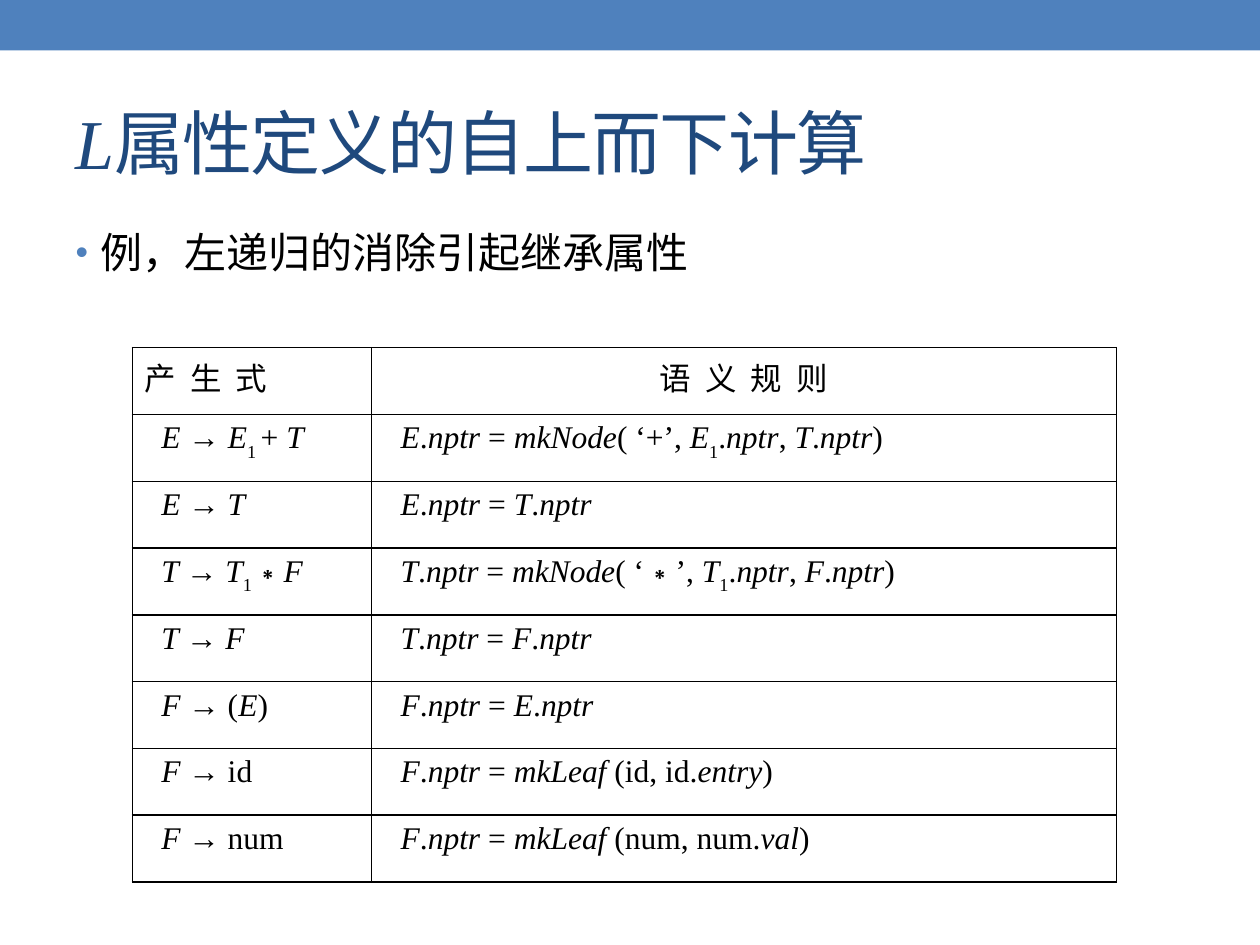
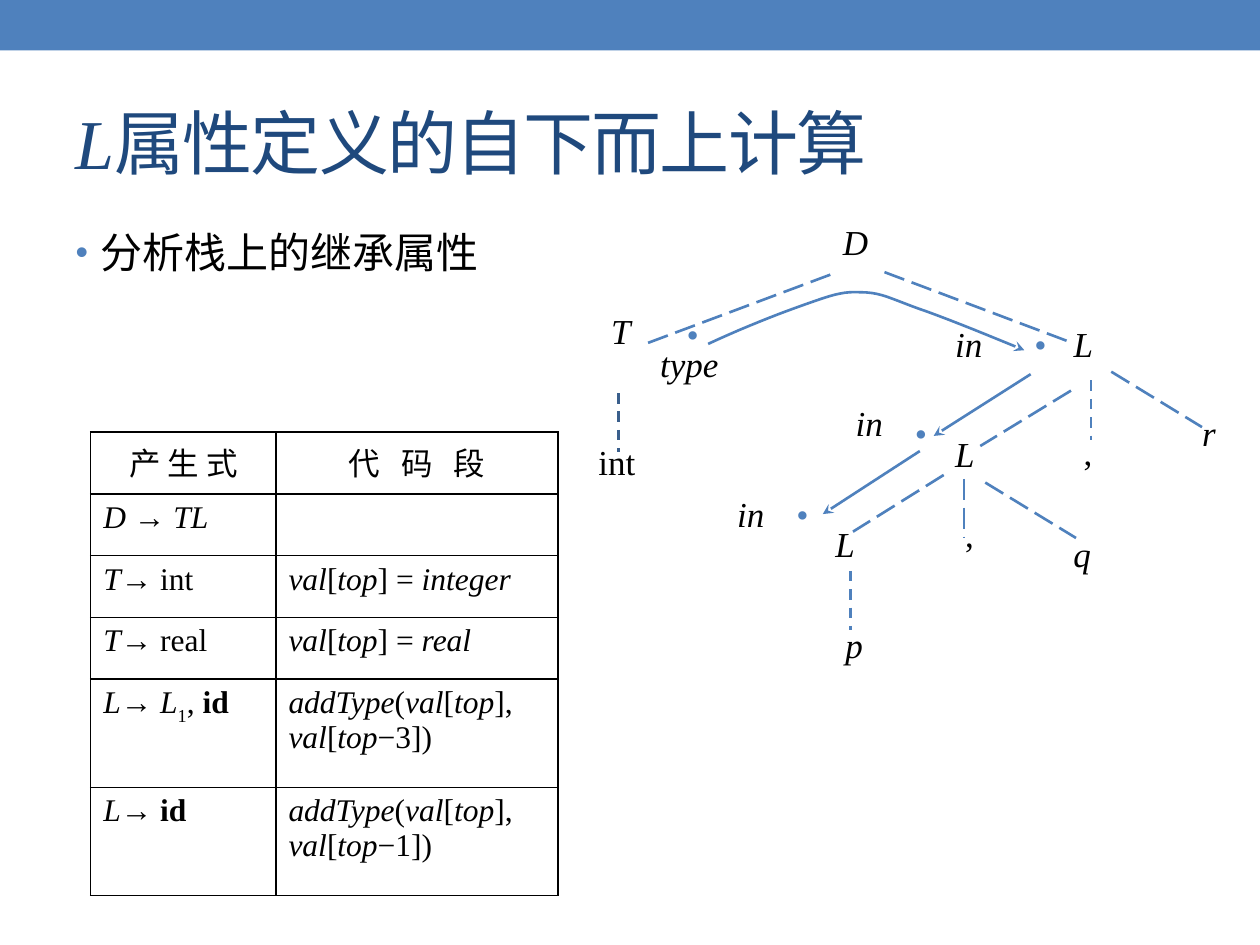
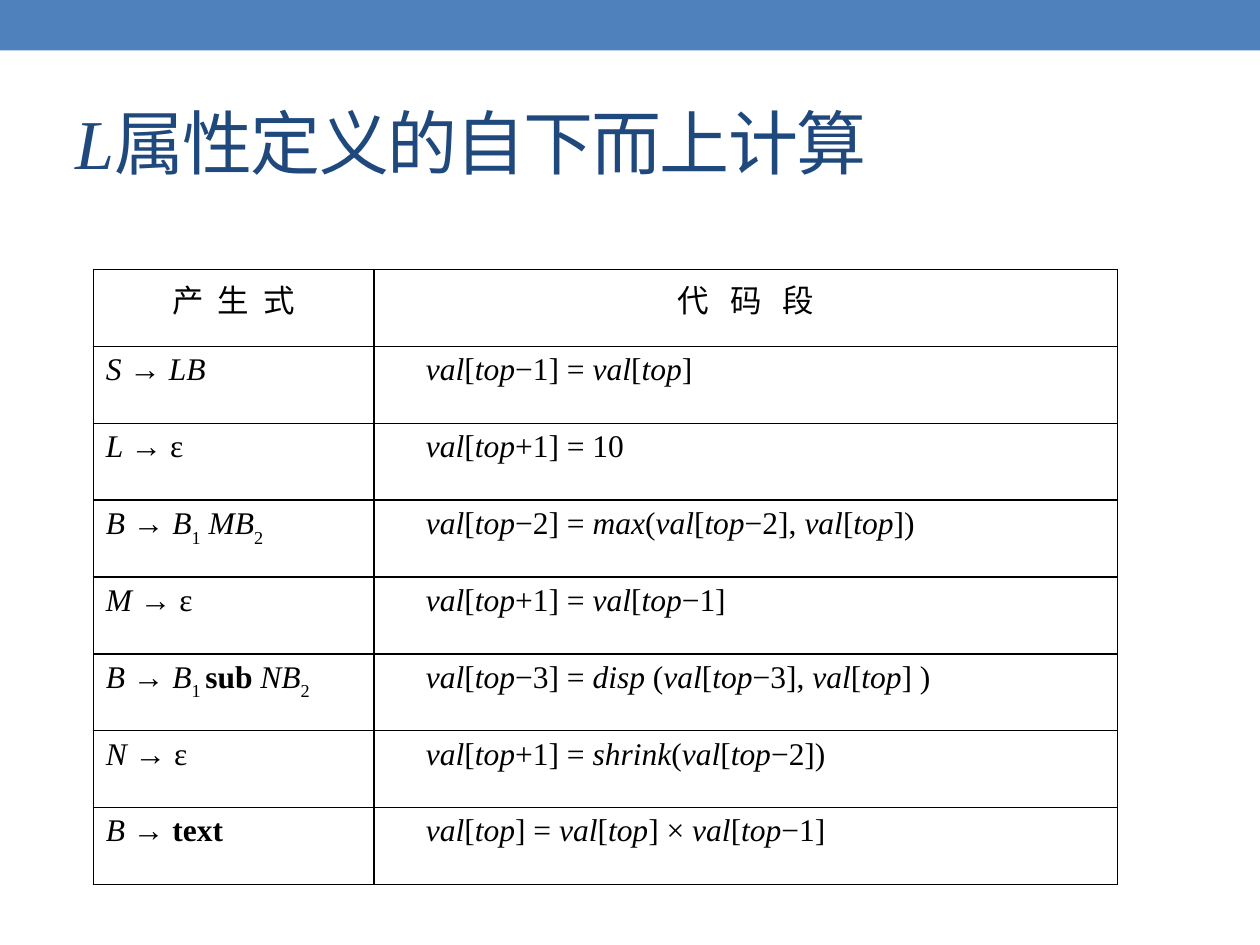
from lxml.etree import SubElement
from pptx import Presentation
from pptx.dml.color import RGBColor
from pptx.enum.dml import MSO_LINE_DASH_STYLE as DASH
from pptx.enum.shapes import MSO_CONNECTOR, MSO_SHAPE
from pptx.enum.text import MSO_ANCHOR, MSO_AUTO_SIZE, PP_ALIGN
from pptx.oxml import parse_xml
from pptx.oxml.ns import nsdecls, qn
from pptx.util import Inches, Pt

BLUE, NAVY, STEEL, BLACK = "4F81BD", "1F497D", "3A5F8C", "000000"
LATIN, CJK = "Times New Roman", "Noto Sans CJK SC"
MARKS = {"/": "italic", "#": "bold", "_": "sub"}
TITLE_BOX = (0.5, 0.58, 9, 1.08)
BODY_BOX = (0.5, 1.75, 9, 5.33)
BOTTOM_UP = "/L/属性定义的自下而上计算"
LEFT, CENTER = PP_ALIGN.LEFT, PP_ALIGN.CENTER

EXPRESSION_RULES = [
    ("/E /→ /E/_1 _+ /T/", "/E/./nptr/ = /mkNode/( ‘+’, /E/_1_./nptr/,/ T/./nptr/)"),
    ("/E /→/ T/", "/E/./nptr/ = /T/./nptr/"),
    ("/T /→ /T/_1_∗/F/", "/T/./nptr/ = /mkNode/( ‘∗’, /T/_1_./nptr/,/ F/./nptr/)"),
    ("/T /→ /F/", "/T/./nptr/ = /F/./nptr/"),
    ("/F /→ (/E/)", "/F/./nptr/ = /E/./nptr/"),
    ("/F /→ id", "/F/./nptr/ = /mkLeaf /(id, id./entry/)"),
    ("/F /→ num", "/F/./nptr/ = /mkLeaf /(num, num./val/)"),
]
DECLARATION_CODE = [
    ("/D /→ /TL/", ""),
    ("/T/→ int", "/val/[/top/] = /integer/"),
    ("/T/→ real", "/val/[/top/] = /real/"),
    ("/L/→ /L/_1_, #id#", "/addType/(/val/[/top/], /val/[/top/−3])"),
    ("/L/→ #id#", "/addType/(/val/[/top/], /val/[/top/−1])"),
]
LAYOUT_CODE = [
    ("/S /→/ LB/", "/val/[/top/−1] = /val/[/top/]"),
    ("/L /→ ε", "/val/[/top/+1] = 10"),
    ("/B /→/ B/_1_/ MB/_2_", "/val/[/top/−2] =/ max/(/val/[/top/−2], /val/[/top/])"),
    ("/M /→ ε", "/val/[/top/+1] = /val/[/top/−1]"),
    ("/B /→/ B/_1 _#sub #/NB/_2_",
     "/val/[/top/−3] = /disp/ (/val/[/top/−3], /val/[/top/] )"),
    ("/N /→ ε", "/val/[/top/+1] = /shrink/(/val/[/top/−2])"),
    ("/B /→ #text#", "/val/[/top/] = /val/[/top/] ×/ val/[/top/−1]"),
]

TREE_LABELS = [
    ("/D/", 6.67, 1.74, 0.31), ("/T/", 4.83, 2.45, 0.31), ("/L/", 8.5, 2.55, 0.31),
    ("/L/", 7.56, 3.42, 0.31), (",", 8.58, 3.41, 0.31), ("/r/", 9.52, 3.26, 0.31),
    ("/L/", 6.61, 4.14, 0.31), (",", 7.64, 4.06, 0.31), ("/q/", 8.5, 4.22, 0.47),
    ("/p/", 6.69, 4.94, 0.31), ("int", 4.73, 3.49, 0.47), ("/type/", 5.22, 2.71, 0.76),
    ("/in/", 6.77, 3.18, 0.41), ("/in/", 5.83, 3.9, 0.52), ("/in/", 7.56, 2.55, 0.39),
]
ATTRIBUTE_DOTS = [(5.43, 2.47), (8.19, 2.55), (7.24, 3.26), (6.3, 3.9)]
LONG_BRANCHES = [
    (6.59, 2.18, 5.12, 2.73), (7.02, 2.16, 8.48, 2.71), (8.5, 3.1, 7.78, 3.54),
    (8.82, 2.95, 9.54, 3.39), (7.49, 3.77, 6.77, 4.22), (7.82, 3.83, 8.54, 4.27),
    (7.65, 3.8, 7.65, 4.27),
]
SHORT_BRANCHES = [
    (8.66, 3.02, 8.66, 3.49, BLUE), (4.91, 3.12, 4.91, 3.59, STEEL),
    (6.75, 4.53, 6.75, 5, BLUE),
]
INHERIT_ARROWS = [(7.3, 3.58, 6.53, 4.08), (8.18, 2.97, 7.41, 3.46)]
TYPE_FLOW = [
    (5.62, 2.73), (5.9, 2.6), (6.18, 2.49), (6.38, 2.42), (6.58, 2.35),
    (6.68, 2.31), (6.83, 2.32), (6.99, 2.32), (7.07, 2.37), (7.29, 2.45),
    (7.5, 2.52), (7.96, 2.71), (8.13, 2.78),
]


def rgb(color):
    """Turn a hex string into a colour."""
    return RGBColor.from_string(color)


def add_runs(p, text, size, color=BLACK, font=LATIN, spacing=0):
    """Add text whose marks toggle italic, bold and subscript."""
    for mark in MARKS:
        text = text.replace(mark, f"|{mark}|")
    on = dict.fromkeys(MARKS.values(), False)
    for piece in text.split("|"):
        if piece in MARKS:
            on[MARKS[piece]] = not on[MARKS[piece]]
        elif piece:
            r = p.add_run()
            r.text = piece
            fmt = {"size": Pt(size), "name": font, "italic": on["italic"], "bold": on["bold"]}
            for name, value in fmt.items():
                setattr(r.font, name, value)
            r.font.color.rgb = rgb(color)
            rPr = r._r.get_or_add_rPr()
            SubElement(rPr, qn("a:ea")).set("typeface", CJK)
            if on["sub"]:
                rPr.set("baseline", "-30000")
            if spacing:
                rPr.set("spc", str(spacing * 100))


def place(shape, box):
    """Move a shape to a box in inches."""
    for name, value in zip(("left", "top", "width", "height"), box):
        setattr(shape, name, Inches(value))


def add_band(prs, s):
    """Put the blue top band on the slide master."""
    band = s.shapes.add_shape(MSO_SHAPE.RECTANGLE, 0, 0, prs.slide_width, Inches(0.4))
    band.shadow.inherit = False
    band.fill.solid()
    band.fill.fore_color.rgb = rgb(BLUE)
    band.line.fill.background()
    prs.slide_master.shapes.element.insert(2, band.element)


def add_slide(prs, layout, title):
    """Add a slide with its title."""
    s = prs.slides.add_slide(prs.slide_layouts[layout])
    place(s.shapes.title, TITLE_BOX)
    tf = s.shapes.title.text_frame
    for name, value in {"vertical_anchor": MSO_ANCHOR.MIDDLE,
                        "auto_size": MSO_AUTO_SIZE.NONE}.items():
        setattr(tf, name, value)
    tf.paragraphs[0].alignment = LEFT
    add_runs(tf.paragraphs[0], title, 40, NAVY, spacing=-1)
    return s


def add_bullet(s, text, font=LATIN):
    """Fill the body placeholder with one bulleted line."""
    body = s.placeholders[1]
    place(body, BODY_BOX)
    body.text_frame.auto_size = MSO_AUTO_SIZE.NONE
    p = body.text_frame.paragraphs[0]
    p.space_before = Pt(0)
    pPr = p._p.get_or_add_pPr()
    pPr.set("marL", str(Inches(0.2)))
    pPr.set("indent", str(Inches(-0.2)))
    SubElement(SubElement(pPr, qn("a:buClr")), qn("a:srgbClr")).set("val", BLUE)
    SubElement(pPr, qn("a:buSzPct")).set("val", "85000")
    SubElement(pPr, qn("a:buFont")).set("typeface", "Arial")
    SubElement(pPr, qn("a:buChar")).set("char", "•")
    add_runs(p, text, 24, font=font)


def format_cell(cell):
    """Clear the fill and draw thin black borders."""
    cell.fill.background()
    for name, value in {"margin_left": 0.1, "margin_right": 0.1,
                        "margin_top": 0.05, "margin_bottom": 0.05}.items():
        setattr(cell, name, Inches(value))
    tcPr = cell._tc.get_or_add_tcPr()
    for i, side in enumerate("LRTB"):
        tcPr.insert(i, parse_xml(
            f'<a:ln{side} {nsdecls("a")} w="{Pt(1)}"><a:solidFill>'
            f'<a:srgbClr val="{BLACK}"/></a:solidFill></a:ln{side}>'))


def add_rule_table(s, left, top, widths, heights, headers, rows, indents=(0, 0)):
    """Add a table of productions; headers are (text, spacing, alignment)."""
    table = s.shapes.add_table(
        len(heights), len(widths), Inches(left), Inches(top),
        Inches(sum(widths)), Inches(sum(heights))).table
    table.first_row = table.horz_banding = False
    for column, width in zip(table.columns, widths):
        column.width = Inches(width)
    for row, height in zip(table.rows, heights):
        row.height = Inches(height)
    for cell in table.iter_cells():
        format_cell(cell)
    for c, (text, spacing, align) in enumerate(headers):
        p = table.cell(0, c).text_frame.paragraphs[0]
        p.alignment = align
        add_runs(p, text, 18, spacing=spacing)
    for i, row in enumerate(rows, 1):
        for c, text in enumerate(row):
            p = table.cell(i, c).text_frame.paragraphs[0]
            p._p.get_or_add_pPr().set("marL", str(Inches(indents[c])))
            add_runs(p, text, 18)


def add_label(s, text, left, top, width, color=BLACK):
    """Add a label of the parse tree."""
    tf = s.shapes.add_textbox(*map(Inches, (left, top, width, 0.6))).text_frame
    fmt = {"word_wrap": True, "margin_left": Inches(0.02), "margin_right": Inches(0.02),
           "margin_top": Inches(0.01), "margin_bottom": Inches(0.01)}
    for name, value in fmt.items():
        setattr(tf, name, value)
    tf.paragraphs[0].alignment = PP_ALIGN.JUSTIFY
    add_runs(tf.paragraphs[0], text, 20, color)


def format_line(shape, color=BLUE, dash=None):
    """Style a line; one without dashes gets an arrowhead."""
    shape.line.width = Pt(1.5)
    shape.line.color.rgb = rgb(color)
    if dash:
        shape.line.dash_style = dash
    else:
        ln = shape.element.spPr.find(qn("a:ln"))
        SubElement(ln, qn("a:tailEnd")).set("type", "stealth")


def add_line(s, ends, color=BLUE, dash=None):
    """Add a straight branch or arrow."""
    line = s.shapes.add_connector(MSO_CONNECTOR.STRAIGHT, *map(Inches, ends))
    format_line(line, color, dash)
    SubElement(line.element.spPr, qn("a:effectLst"))


def bezier(points, t):
    """Return the point at t on a cubic curve."""
    weights = ((1 - t) ** 3, 3 * t * (1 - t) ** 2, 3 * t * t * (1 - t), t ** 3)
    return tuple(Inches(sum(w * v for w, v in zip(weights, axis))) for axis in zip(*points))


def add_curve(s, points, steps=10):
    """Add a smooth arrow through chained cubic curves."""
    track = [bezier(points[i:i + 4], k / steps)
             for i in range(0, len(points) - 1, 3) for k in range(1, steps + 1)]
    builder = s.shapes.build_freeform(*map(Inches, points[0]), scale=1.0)
    builder.add_line_segments(track, close=False)
    curve = builder.convert_to_shape()
    curve.shadow.inherit = False
    curve.fill.background()
    format_line(curve)


def add_parse_tree(s):
    """Draw the parse tree and the flow of inherited attributes."""
    for label in TREE_LABELS:
        add_label(s, *label)
    for left, top in ATTRIBUTE_DOTS:
        add_label(s, "•", left, top, 0.31, BLUE)
    for ends in LONG_BRANCHES:
        add_line(s, ends, dash=DASH.LONG_DASH)
    for *ends, color in SHORT_BRANCHES:
        add_line(s, ends, color, DASH.DASH)
    for ends in INHERIT_ARROWS:
        add_line(s, ends)
    add_curve(s, TYPE_FLOW)


def main():
    """Build the three slides."""
    prs = Presentation()
    prs.slide_width, prs.slide_height = Inches(10), Inches(7.5)

    s = add_slide(prs, 1, "/L/属性定义的自上而下计算")
    add_band(prs, s)
    add_bullet(s, "例，左递归的消除引起继承属性", CJK)
    add_rule_table(s, 1.05, 2.76, (1.9, 5.91), [0.53] * 8,
                   [("产 生 式", 2, LEFT), ("语 义 规 则", 2, CENTER)],
                   EXPRESSION_RULES, (0.13, 0.13))

    s = add_slide(prs, 1, BOTTOM_UP)
    add_bullet(s, "分析栈上的继承属性")
    add_parse_tree(s)
    add_rule_table(s, 0.72, 3.43, (1.47, 2.24), [0.49] * 4 + [0.86] * 2,
                   [("产 生 式", 0, CENTER), ("代 码 段", 4, CENTER)], DECLARATION_CODE)

    s = add_slide(prs, 5, BOTTOM_UP)
    add_rule_table(s, 0.74, 2.14, (2.23, 5.9), [0.61] * 8,
                   [("产 生 式", 2, CENTER), ("代 码 段", 4, CENTER)],
                   LAYOUT_CODE, (0, 0.31))

    prs.save("out.pptx")


if __name__ == "__main__":
    main()
